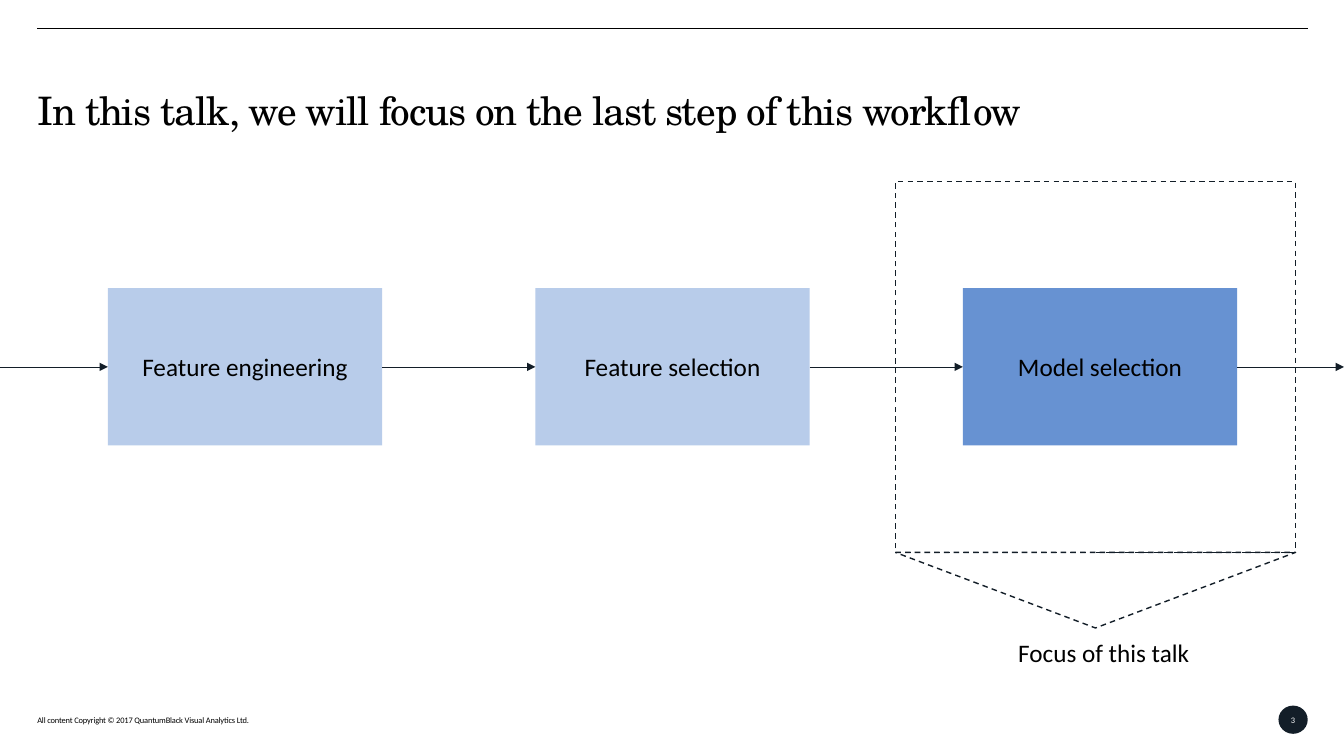
import pptx
import pptx.util
import pptx.dml.color
import pptx.enum.dml
import pptx.enum.shapes
import pptx.enum.text
import pptx.oxml
import pptx.oxml.ns

Inches, Pt = pptx.util.Inches, pptx.util.Pt
SHAPE = pptx.enum.shapes.MSO_SHAPE
ANCHOR = pptx.enum.text.MSO_ANCHOR
ALIGN = pptx.enum.text.PP_ALIGN

SLIDE_W, SLIDE_H = 13.33, 7.5
MARGIN, CONTENT_W = 0.37, 12.6
INK, BLACK, WHITE = "131E28", "000000", "FFFFFF"
PALE_BLUE, BLUE = "B8CCEA", "6792D2"


def rgb(value):
    return pptx.dml.color.RGBColor.from_string(value)


def add_xml(parent, tag, **attrs):
    child = pptx.oxml.parse_xml(f"<a:{tag} {pptx.oxml.ns.nsdecls('a')}/>")
    for name, value in attrs.items():
        child.set(name, value)
    parent.append(child)


class Deck:
    font = "Calibri"
    title_font = "TeX Gyre Schola"

    def __init__(self, prs):
        self.s = prs.slides.add_slide(prs.slide_layouts[6])

    def label(self, sp, text, size, color=BLACK, font=None, align=None,
              spacing=None, line_spacing=None, insets=None, anchor=ANCHOR.MIDDLE):
        """Fill a shape or text box with one formatted paragraph."""
        tf = sp.text_frame
        frame = {"word_wrap": True, "vertical_anchor": anchor}
        if insets:
            sides = ("margin_left", "margin_top", "margin_right", "margin_bottom")
            frame.update(zip(sides, map(Inches, insets)))
        for name, value in frame.items():
            setattr(tf, name, value)
        p = tf.paragraphs[0]
        for name, value in {"alignment": align, "line_spacing": line_spacing}.items():
            setattr(p, name, value)
        r = p.add_run()
        r.text = text
        for name, value in {"name": font or self.font, "size": Pt(size)}.items():
            setattr(r.font, name, value)
        r.font.color.rgb = rgb(color)
        if spacing is not None:
            r.font._element.set("spc", str(round(spacing * 100)))

    def text(self, box, text, size, **fmt):
        sp = self.s.shapes.add_textbox(*map(Inches, box))
        self.label(sp, text, size, **fmt)

    def shape(self, kind, box, fill=None, dashed=False):
        sp = self.s.shapes.add_shape(kind, *map(Inches, box))
        sp.shadow.inherit = False
        if fill:
            sp.fill.solid()
            sp.fill.fore_color.rgb = rgb(fill)
        else:
            sp.fill.background()
        if dashed:
            sp.line.color.rgb = rgb(INK)
            sp.line.width = Pt(1)
            sp.line.dash_style = pptx.enum.dml.MSO_LINE.DASH
        else:
            sp.line.fill.background()
        return sp

    def line(self, x1, x2, y, color=INK, arrow=False):
        """Draw a horizontal line, with an optional arrowhead at x2."""
        sp = self.s.shapes.add_connector(
            pptx.enum.shapes.MSO_CONNECTOR.STRAIGHT, *map(Inches, (x1, y, x2, y)))
        sp.line.color.rgb = rgb(color)
        sp.line.width = Pt(0.5)
        if arrow:
            add_xml(sp.line._get_or_add_ln(), "tailEnd", type="triangle")
        add_xml(sp._element.spPr, "effectLst")


def main():
    prs = pptx.Presentation()
    prs.slide_width, prs.slide_height = Inches(SLIDE_W), Inches(SLIDE_H)
    deck = Deck(prs)
    flush = (0, 0, 0, 0)

    deck.text((MARGIN, 7, 3.94, 0.28),
              "All content Copyright © 2017 QuantumBlack Visual Analytics Ltd.",
              6, spacing=-0.1, insets=flush)
    badge = deck.shape(SHAPE.OVAL, (12.68, 7, 0.29, 0.28), INK)
    deck.label(badge, "3", 6, color=WHITE, align=ALIGN.CENTER, insets=flush)
    deck.text((MARGIN, 0.72, CONTENT_W, 0.74),
              "In this talk, we will focus on the last step of this workflow",
              28, font=deck.title_font, spacing=-0.7, line_spacing=0.86,
              insets=(0, 0, 0, 0.13), anchor=ANCHOR.BOTTOM)
    deck.line(MARGIN, MARGIN + CONTENT_W, 0.28, BLACK)

    # Workflow: equally spaced steps joined by arrows from edge to edge
    first_x, pitch = 1.07, 4.24
    step_y, step_w, step_h = 2.86, 2.72, 1.56
    steps = [("Feature engineering", PALE_BLUE),
             ("Feature selection", PALE_BLUE),
             ("Model selection", BLUE)]
    arrow_x = 0
    for i, (name, fill) in enumerate(steps):
        x = first_x + i * pitch
        step = deck.shape(SHAPE.RECTANGLE, (x, step_y, step_w, step_h), fill)
        deck.label(step, name, 18, align=ALIGN.CENTER)
        deck.line(arrow_x, x, step_y + step_h / 2, arrow=True)
        arrow_x = x + step_w
    deck.line(arrow_x, SLIDE_W, step_y + step_h / 2, arrow=True)

    # Dashed callout around the last step
    focus_x, focus_y, focus_w, focus_h = 8.88, 1.8, 3.97, 3.68
    deck.shape(SHAPE.RECTANGLE, (focus_x, focus_y, focus_w, focus_h), dashed=True)
    deck.shape(SHAPE.FLOWCHART_MERGE,
               (focus_x, focus_y + focus_h, focus_w, 0.75), dashed=True)
    deck.text((10, 6.27, 1.97, 0.4), "Focus of this talk", 18, anchor=ANCHOR.TOP)

    prs.save("out.pptx")


if __name__ == "__main__":
    main()
